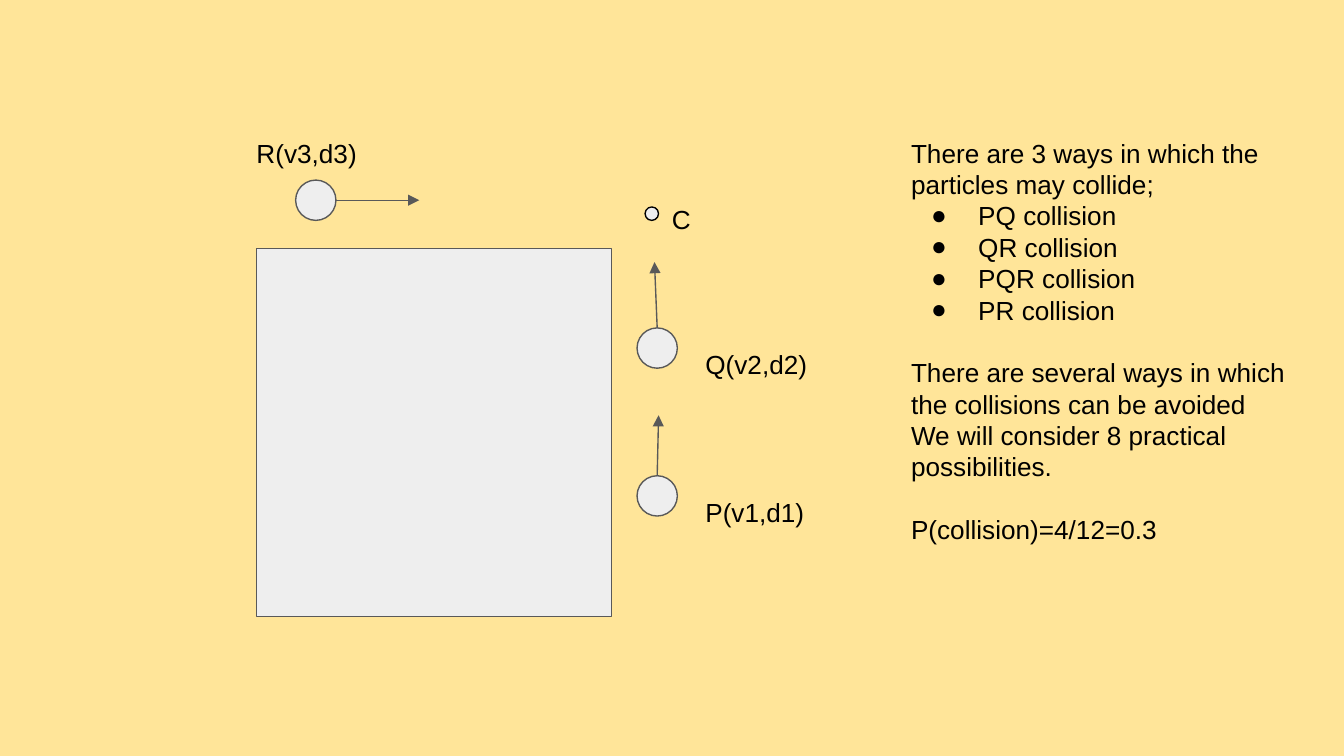
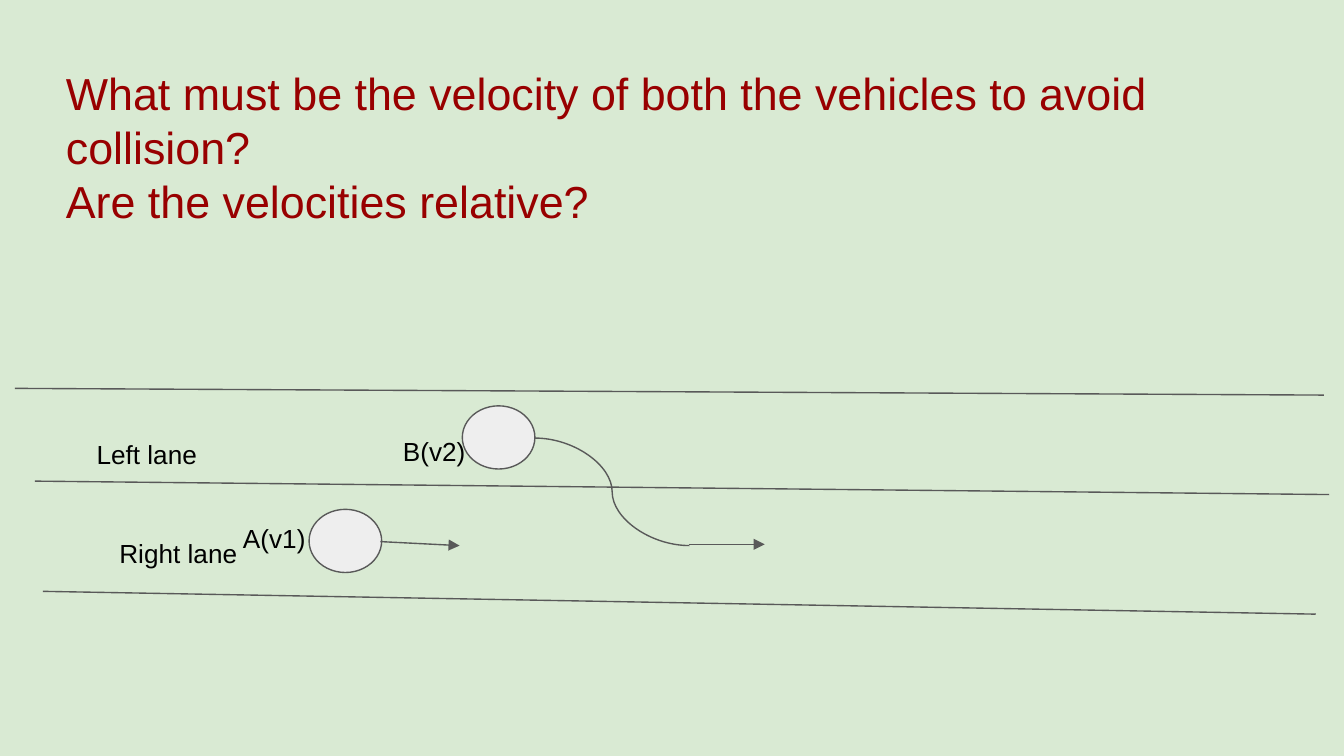
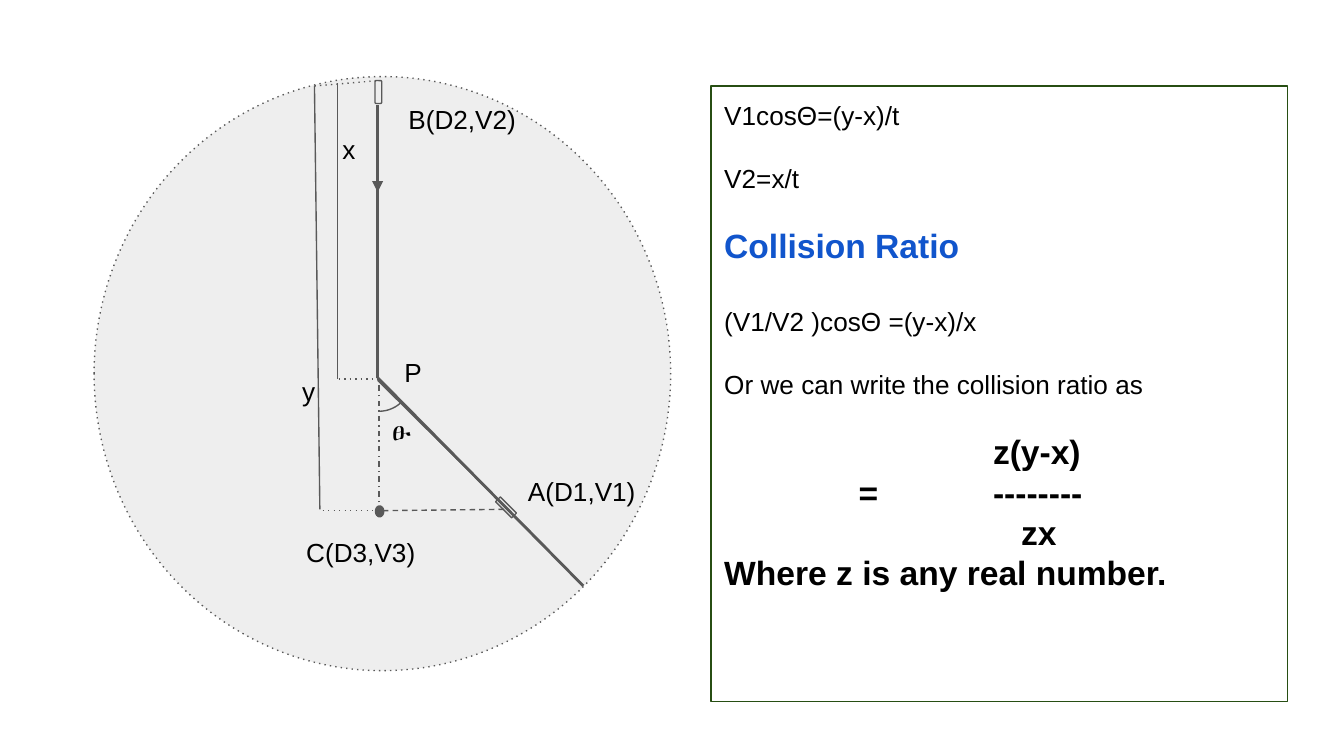
"""Build three slides on collisions of particles and vehicles."""
import math
from dataclasses import dataclass

from lxml import etree
from pptx import Presentation
from pptx.dml.color import RGBColor
from pptx.enum import shapes, text
from pptx.oxml.ns import qn
from pptx.util import Inches, Pt


@dataclass(frozen=True)
class Theme:
    font: str = "Arial"
    body: float = 14
    strong: float = 18
    title: float = 24
    gap: float = 16.8
    strong_gap: float = 21.6
    inset: float = 0.1
    thin: float = 0.75
    ink: str = "000000"
    stroke: str = "595959"
    pale: str = "EEEEEE"
    red: str = "980000"
    blue: str = "1155CC"
    green: str = "274E13"
    sand: str = "FFE599"
    mint: str = "D9EAD3"
    white: str = "FFFFFF"


T = Theme()
WIDTH = 10
HEIGHT = WIDTH * 9 / 16
TITLE_ONLY, BLANK = 5, 6
OVAL = shapes.MSO_SHAPE.OVAL

COLLISIONS = ["PQ collision", "QR collision", "PQR collision", "PR collision"]
NOTES = [
    "There are 3 ways in which the particles may collide;",
    *[dict(words=way, bullet="●") for way in COLLISIONS],
    dict(words="There are several ways in which the collisions can be avoided", before=T.gap),
    "We will consider 8 practical possibilities.",
    dict(words="P(collision)=4/12=0.3", before=T.gap),
]
QUESTION = [
    "What must be the velocity of both the vehicles to avoid collision?",
    "Are the velocities relative?",
]
STRONG = dict(size=T.strong, bold=True)
RATIO = [
    "V1cosΘ=(y-x)/t",
    dict(words="V2=x/t", before=T.gap),
    dict(words="Collision Ratio", before=T.gap, color=T.blue, **STRONG),
    dict(words="(V1/V2 )cosΘ =(y-x)/x", before=T.strong_gap),
    dict(words="Or we can write the collision ratio as", before=T.gap),
    dict(words="\t\tz(y-x)", before=T.gap, tabs=(1, 2), **STRONG),
    dict(words="\t=\t--------", tabs=(1, 2), **STRONG),
    dict(words="\t\tzx", tabs=(1, 2.21), **STRONG),
    dict(words="Where z is any real number.", **STRONG),
]
PARTICLES = [
    ("P(v1,d1)", (4.74, 3.54), (5.15, 3.59, 1.06, 0.45), (4.89, 3.54, 4.9, 3.09)),
    ("Q(v2,d2)", (4.74, 2.44), (5.15, 2.49, 1.06, 0.26), (4.89, 2.44, 4.87, 1.95)),
    ("R(v3,d3)", (2.2, 1.34), (1.81, 0.92, 1.18, 0.3), (2.5, 1.49, 3.12, 1.49)),
]
LANE_EDGES = [
    (0.11, 2.89, 9.85, 2.94),
    (0.26, 3.58, 9.89, 3.68),
    (0.32, 4.4, 9.79, 4.57),
]
VEHICLES = [(2.3, 3.79), (3.44, 3.02)]
ROAD_LABELS = [
    ("Left lane", (0.62, 3.16, 1.51, 0.24)),
    ("Right lane", (0.79, 3.9, 1.16, 0.24)),
    ("A(v1)", (1.71, 3.79, 0.84, 0.24)),
    ("B(v2)", (2.9, 3.14, 0.77, 0.24)),
]
MEETING = (2.81, 2.81)
PATHS = [
    ((2.81, 0.78, 2.81, 1.43), dict(arrow=True)),
    ((2.81, 0.78, *MEETING), dict(weight=1.5)),
    ((*MEETING, 4.34, 4.36), dict(weight=1.5)),
    ((3.75, 3.79, 2.81, 3.8), dict(dash="dash")),
    ((2.82, 3.81, 2.82, 2.82), dict(dash="dashDot")),
    ((2.51, 0.62, 2.51, 2.82), {}),
    ((2.34, 0.64, 2.38, 3.79), {}),
    ((2.4, 3.8, 2.81, 3.8), dict(dash="dot")),
    ((2.81, 2.83, 4.06, 4.07), {}),
    ((2.52, 2.82, 2.81, 2.82), dict(dash="dot")),
    ((2.34, 0.64, 2.81, 0.6), dict(dash="dot")),
]
CIRCLE_LABELS = [
    ("ፁ", (2.82, 2.98, 0.29, 0.39)),
    ("A(D1,V1)", (3.83, 3.44, 1.17, 0.39)),
    ("B(D2,V2)", (2.94, 0.67, 1.02, 0.44)),
    ("C(D3,V3)", (2.18, 3.89, 1.02, 0.47)),
    ("P", (2.91, 2.55, 0.78, 0.43)),
    ("x", (2.45, 0.93, 0.24, 0.12)),
    ("y", (2.15, 2.69, 0.24, 0.33)),
]


def rgb(color):
    return RGBColor.from_string(color)


def inches(lengths):
    return [Inches(length) for length in lengths]


def add_slide(deck, backdrop, layout=BLANK):
    slide = deck.slides.add_slide(deck.slide_layouts[layout])
    slide.background.fill.solid()
    slide.background.fill.fore_color.rgb = rgb(backdrop)
    return slide


def set_bullet(paragraph, mark, color):
    props = paragraph._p.get_or_add_pPr()
    props.set("marL", str(Inches(0.5)))
    props.set("indent", str(Inches(-0.35)))
    tint = etree.SubElement(props, qn("a:buClr"))
    etree.SubElement(tint, qn("a:srgbClr")).set("val", color)
    etree.SubElement(props, qn("a:buFont")).set("typeface", T.font)
    etree.SubElement(props, qn("a:buChar")).set("char", mark)


def set_tabs(paragraph, stops):
    tab_list = etree.SubElement(paragraph._p.get_or_add_pPr(), qn("a:tabLst"))
    for stop in stops:
        tab = etree.SubElement(tab_list, qn("a:tab"))
        tab.set("pos", str(Inches(stop)))
        tab.set("algn", "l")


def write(holder, lines, size=T.body, color=T.ink):
    frame = holder.text_frame
    frame.word_wrap = True
    frame.auto_size = text.MSO_AUTO_SIZE.NONE
    frame.vertical_anchor = text.MSO_ANCHOR.TOP
    for side in ("left", "top", "right", "bottom"):
        setattr(frame, f"margin_{side}", Inches(T.inset))
    for number, line in enumerate(lines):
        style = line if isinstance(line, dict) else dict(words=line)
        paragraph = frame.add_paragraph() if number else frame.paragraphs[0]
        if "bullet" in style:
            set_bullet(paragraph, style["bullet"], color)
        if "tabs" in style:
            set_tabs(paragraph, style["tabs"])
        paragraph.alignment = text.PP_ALIGN.LEFT
        if "before" in style:
            paragraph.space_before = Pt(style["before"])
        run = paragraph.add_run()
        run.text = style["words"]
        run.font.name = T.font
        run.font.size = Pt(style.get("size", size))
        run.font.bold = style.get("bold", False)
        run.font.color.rgb = rgb(style.get("color", color))


def add_text(slide, lines, box):
    write(slide.shapes.add_textbox(*inches(box)), lines)


def set_line(line, color=T.stroke, weight=T.thin, dash=None):
    line.color.rgb = rgb(color)
    line.width = Pt(weight)
    if dash:
        etree.SubElement(line._get_or_add_ln(), qn("a:prstDash")).set("val", dash)


def add_figure(slide, kind, box, fill=T.pale, turn=0, corner=None, **stroke):
    figure = slide.shapes.add_shape(kind, *inches(box))
    figure.shadow.inherit = False
    figure.rotation = turn
    if corner is not None:
        figure.adjustments[0] = corner
    if fill:
        figure.fill.solid()
        figure.fill.fore_color.rgb = rgb(fill)
    else:
        figure.fill.background()
    set_line(figure.line, **stroke)
    return figure


def add_path(slide, ends, kind=shapes.MSO_CONNECTOR.STRAIGHT, arrow=False, **stroke):
    path = slide.shapes.add_connector(kind, *inches(ends))
    set_line(path.line, **stroke)
    if arrow:
        tip = etree.SubElement(path.line._get_or_add_ln(), qn("a:tailEnd"))
        tip.set("type", "triangle")
    etree.SubElement(path._element.spPr, qn("a:effectLst"))


def add_angle(slide, center, radius, start, end, steps=12):
    turns = [math.radians(start + (end - start) * step / steps) for step in range(steps + 1)]
    points = [
        inches((center[0] + radius * math.cos(turn), center[1] + radius * math.sin(turn)))
        for turn in turns
    ]
    builder = slide.shapes.build_freeform(*points[0], scale=1.0)
    builder.add_line_segments(points[1:], close=False)
    angle = builder.convert_to_shape()
    angle.shadow.inherit = False
    angle.fill.background()
    set_line(angle.line)


def build_particles(deck):
    slide = add_slide(deck, T.sand)
    for name, ball, label, motion in PARTICLES:
        add_figure(slide, OVAL, (*ball, 0.3, 0.3))
        add_path(slide, motion, arrow=True)
        add_text(slide, [name], label)
    add_figure(slide, shapes.MSO_SHAPE.RECTANGLE, (1.91, 1.85, 2.64, 2.74))
    add_figure(slide, OVAL, (4.8, 1.54, 0.1, 0.1), color=T.ink)
    add_text(slide, ["C"], (4.9, 1.41, 0.45, 0.37))
    add_text(slide, NOTES, (6.68, 0.92, 3.11, 4.28))


def build_lanes(deck):
    slide = add_slide(deck, T.mint, TITLE_ONLY)
    title = slide.shapes.title
    title.left, title.top, title.width, title.height = inches((0.39, 0.39, 8.31, 2))
    write(title, QUESTION, size=T.title, color=T.red)
    for edge in LANE_EDGES:
        add_path(slide, edge)
    for vehicle in VEHICLES:
        add_figure(slide, OVAL, (*vehicle, 0.54, 0.47))
    add_path(slide, (5.13, 4.05, 5.69, 4.05), arrow=True)
    add_path(slide, (2.83, 4.03, 3.42, 4.06), arrow=True)
    add_path(slide, (3.98, 3.26, 5.13, 4.06), kind=shapes.MSO_CONNECTOR.CURVE)
    for name, box in ROAD_LABELS:
        add_text(slide, [name], box)


def build_ratio(deck):
    slide = add_slide(deck, T.white)
    car = shapes.MSO_SHAPE.ROUNDED_RECTANGLE
    add_figure(slide, shapes.MSO_SHAPE.FLOWCHART_CONNECTOR, (0.7, 0.57, 4.29, 4.42), dash="dot")
    add_figure(slide, car, (2.79, 0.6, 0.05, 0.17), corner=0.17)
    add_figure(slide, car, (3.74, 3.69, 0.05, 0.17), turn=315, corner=0)
    for ends, stroke in PATHS:
        add_path(slide, ends, **stroke)
    add_angle(slide, (2.82, 2.82), 0.24, 45, 90)
    add_figure(slide, OVAL, (2.81, 3.78, 0.03, 0.05), weight=3)
    for name, box in CIRCLE_LABELS:
        add_text(slide, [name], box)
    panel = add_figure(slide, shapes.MSO_SHAPE.RECTANGLE, (5.29, 0.64, 4.29, 4.58),
                       fill=None, color=T.green)
    write(panel, RATIO)


def main():
    deck = Presentation()
    deck.slide_width, deck.slide_height = inches((WIDTH, HEIGHT))
    for build in (build_particles, build_lanes, build_ratio):
        build(deck)
    deck.save("out.pptx")


if __name__ == "__main__":
    main()
